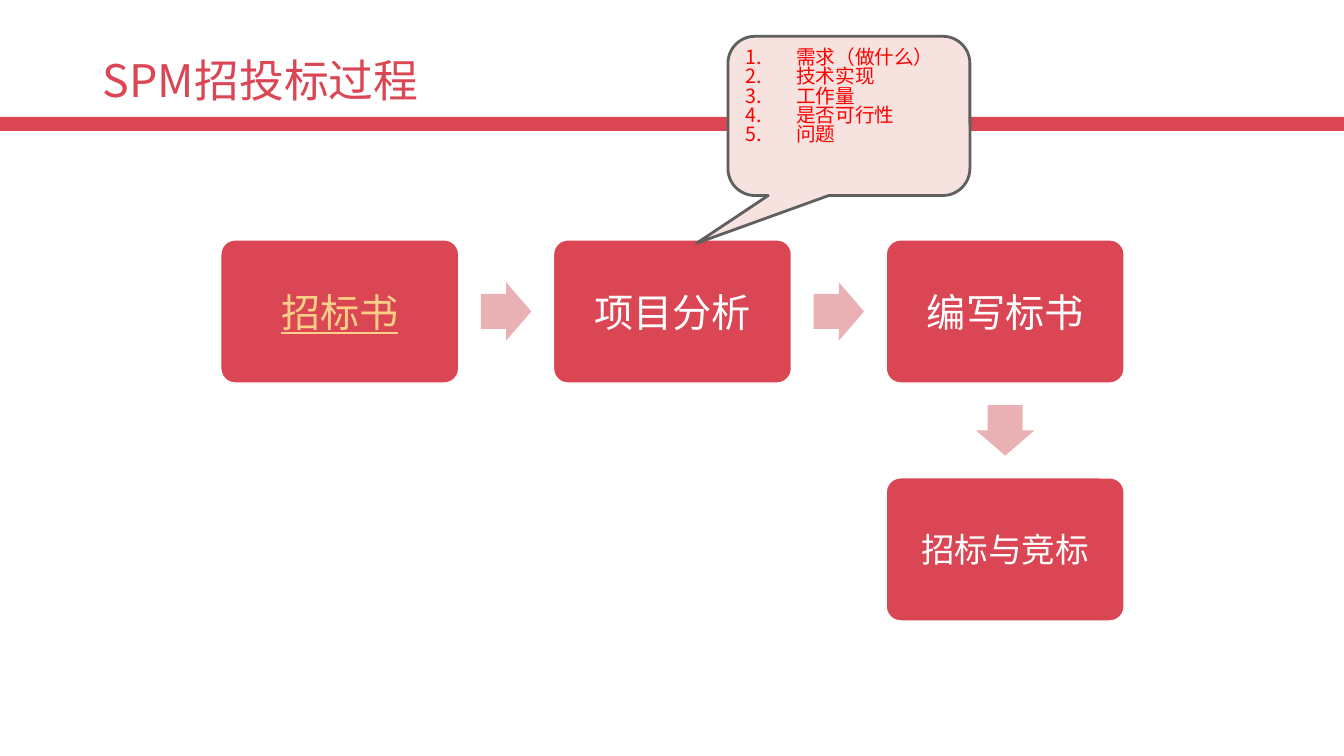
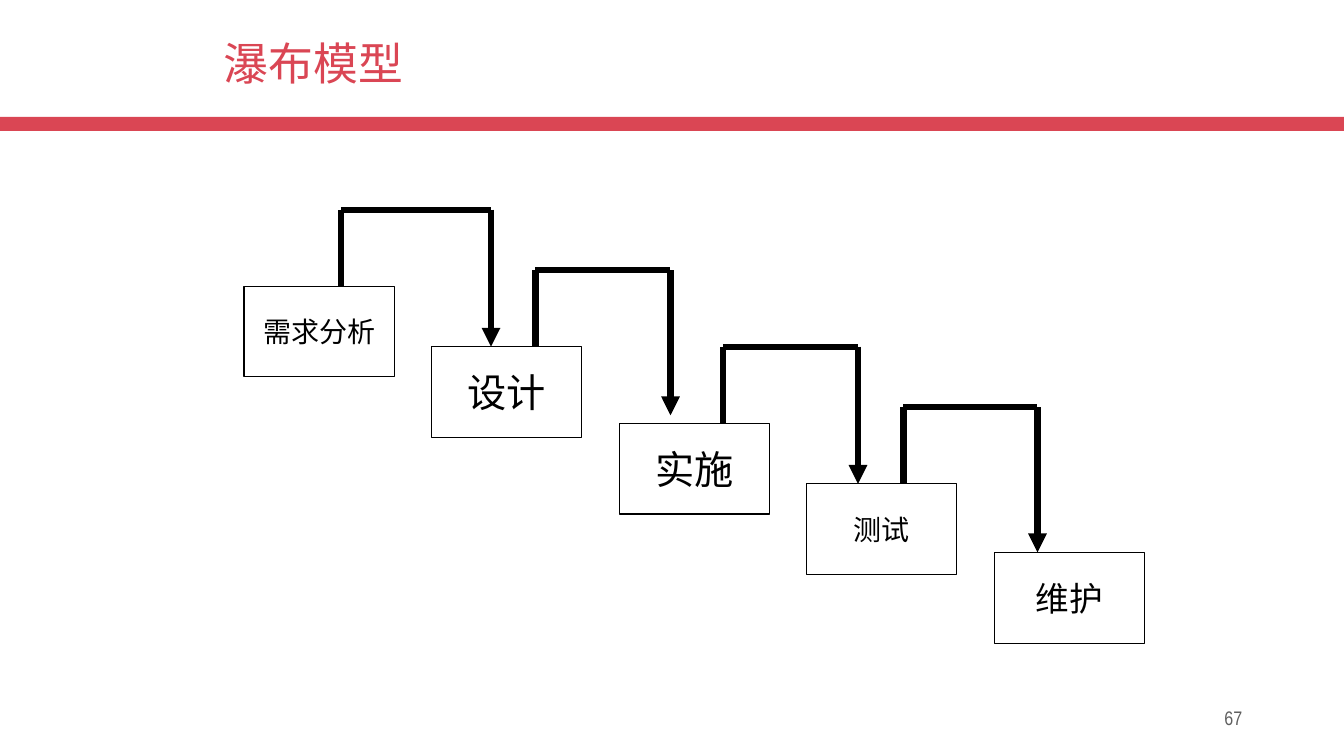
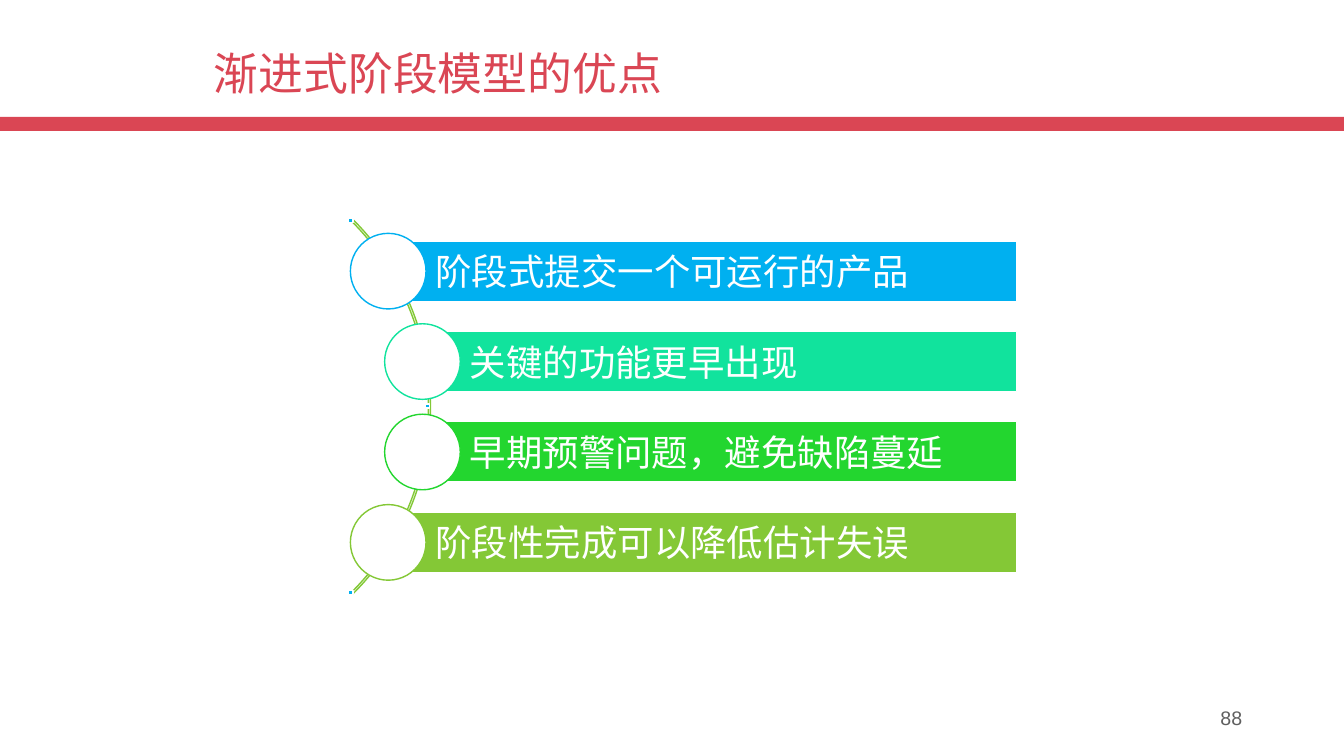
from dataclasses import dataclass
from itertools import pairwise

from lxml import etree
from pptx import Presentation
from pptx import util as u
from pptx.dml.color import RGBColor
from pptx.enum import shapes, text
from pptx.oxml import ns

SHAPE = shapes.MSO_SHAPE
LEFT, CENTER, RIGHT = text.PP_ALIGN.LEFT, text.PP_ALIGN.CENTER, text.PP_ALIGN.RIGHT
TOP, MIDDLE = text.MSO_ANCHOR.TOP, text.MSO_ANCHOR.MIDDLE


@dataclass(frozen=True)
class Theme:
    """Colours, fonts and type sizes shared by the slides."""
    width: float = 13.33
    height: float = 7.5
    red: str = "DA4654"
    pink: str = "EAB1B4"
    blush: str = "F6E2DE"
    gray: str = "5F5F5F"
    white: str = "FFFFFF"
    black: str = "000000"
    link: str = "FCCF86"
    alert: str = "FF0000"
    arc: str = "82C836"
    bars: tuple = ("00B0F0", "11E39D", "23D62F", "84C836")
    cjk: str = "Noto Sans CJK SC"
    sans: str = "Arial"
    narrow: str = "Arial Narrow"
    title: int = 32
    large: int = 28
    bar: int = 26
    medium: int = 24
    normal: int = 20
    small: int = 14


T = Theme()


def inches(*lengths):
    """Convert lengths in inches to slide units."""
    return [u.Inches(n) for n in lengths]


def sub(parent, tag, **attributes):
    """Append a drawing element to a parent element."""
    return etree.SubElement(parent, ns.qn(tag), attributes)


def number(p, indent):
    """Number a paragraph with a hanging indent."""
    ppr = p._p.get_or_add_pPr()
    ppr.set("marL", str(u.Inches(indent)))
    ppr.set("indent", str(-u.Inches(indent)))
    sub(ppr, "a:buFont", typeface=T.cjk)
    sub(ppr, "a:buAutoNum", type="arabicPeriod")


def write(sp, content, size=T.normal, color=T.black, font=T.sans, align=CENTER,
          anchor=MIDDLE, insets=(0.1, 0.05, 0.1, 0.05), spacing=None,
          underline=None, indent=None):
    """Fill a shape with one formatted paragraph per line."""
    tf = sp.text_frame
    tf.word_wrap = True
    tf.auto_size = text.MSO_AUTO_SIZE.NONE
    tf.vertical_anchor = anchor
    tf.margin_left, tf.margin_top, tf.margin_right, tf.margin_bottom = inches(*insets)
    tf.text = content
    for p in tf.paragraphs:
        p.alignment = align
        if spacing:
            p.line_spacing = spacing
        if indent:
            number(p, indent)
        for r in p.runs:
            r.font.size = u.Pt(size)
            r.font.name = font
            r.font.underline = underline
            r.font.color.rgb = RGBColor.from_string(color)
            sub(r.font._element, "a:ea", typeface=T.cjk)


def shape(s, kind, at, fill=None, line=None, weight=1, adjust=()):
    """Add a preset shape without a shadow."""
    sp = s.shapes.add_shape(kind, *inches(*at))
    sp.shadow.inherit = False
    if fill:
        sp.fill.solid()
        sp.fill.fore_color.rgb = RGBColor.from_string(fill)
    else:
        sp.fill.background()
    if line:
        sp.line.color.rgb = RGBColor.from_string(line)
        sp.line.width = u.Pt(weight)
    else:
        sp.line.fill.background()
    for i, value in enumerate(adjust):
        sp.adjustments[i] = value
    return sp


def elbow(s, points, weight=4.5):
    """Join points with straight lines, the last with an arrowhead."""
    for start, end in pairwise(points):
        line = s.shapes.add_connector(shapes.MSO_CONNECTOR.STRAIGHT, *inches(*start, *end))
        line.line.color.rgb = RGBColor.from_string(T.black)
        line.line.width = u.Pt(weight)
        if end == points[-1]:
            sub(line.line._get_or_add_ln(), "a:tailEnd", type="triangle")
        sub(line._element.spPr, "a:effectLst")


def add_band(s):
    """Place the red band on the layout of a slide."""
    band = shape(s, SHAPE.RECTANGLE, (0, 1.16, T.width, 0.14), T.red)
    s.slide_layout.shapes.element.insert(2, band.element)


def title_slide(prs, title, at, anchor=MIDDLE):
    """Add a title-only slide with its title placed."""
    s = prs.slides.add_slide(prs.slide_layouts[5])
    sp = s.shapes.title
    sp.left, sp.top, sp.width, sp.height = inches(*at)
    write(sp, title, size=T.title, color=T.red, font=T.cjk, align=LEFT,
          anchor=anchor, spacing=0.9)
    return s


def page_number(s, label, font):
    """Add the page number at the lower right."""
    sp = s.shapes.add_textbox(*inches(9.42, 6.95, 3, 0.4))
    write(sp, label, size=T.small, color=T.gray, font=font, align=RIGHT, anchor=TOP)


def bidding_slide(prs):
    """Draw the bidding process as a grid of boxes and arrows."""
    s = title_slide(prs, "SPM招投标过程", (0.92, 0.44, 11.5, 0.76))
    add_band(s)
    left, top, width, height = 2.19, 2.38, 2.36, 1.42
    col, row, length, breadth = 3.3, 2.36, 0.5, 0.58
    steps = [
        ("招标书", 0, 0, T.large, T.link),
        ("项目分析", 1, 0, T.large, T.white),
        ("编写标书", 2, 0, T.large, T.white),
        ("招标与竞标", 2, 1, T.medium, T.white),
    ]
    for label, c, r, size, color in steps:
        sp = shape(s, SHAPE.ROUNDED_RECTANGLE, (left + c * col, top + r * row, width, height),
                   T.red, T.white, adjust=(0.1,))
        write(sp, label, size=size, color=color, insets=(0.12,) * 4,
              underline=color == T.link)
    for c in range(2):
        x = left + c * col + (width + col - length) / 2
        shape(s, SHAPE.RIGHT_ARROW, (x, top + (height - breadth) / 2, length, breadth),
              T.pink, adjust=(0.6, 0.5))
    shape(s, SHAPE.DOWN_ARROW,
          (left + 2 * col + (width - breadth) / 2, top + (height + row - length) / 2,
           breadth, length), T.pink, adjust=(0.6, 0.5))
    callout = shape(s, SHAPE.ROUNDED_RECTANGULAR_CALLOUT, (7.22, 0.36, 2.4, 1.58),
                    T.blush, T.gray, 2, (-0.63, 0.8, 0.17))
    write(callout, "需求（做什么）\n技术实现\n工作量\n是否可行性\n问题", size=T.small,
          color=T.alert, font=T.narrow, align=LEFT, anchor=TOP, spacing=0.82, indent=0.5)


def waterfall_slide(prs):
    """Draw the waterfall model as descending boxes joined by arrows."""
    s = title_slide(prs, "瀑布模型", (2.12, 0.36, 8.5, 1.25), TOP)
    page_number(s, "67", T.narrow)
    left, col, width, height, rise = 2.42, 1.86, 1.49, 0.9, 0.76
    steps = [
        ("需求分析", 2.84, T.normal),
        ("设计", 3.44, T.large),
        ("实施", 4.2, T.large),
        ("测试", 4.8, T.normal),
        ("维护", 5.48, T.medium),
    ]
    for i, (label, top, size) in enumerate(steps):
        sp = shape(s, SHAPE.RECTANGLE, (left + i * col, top, width, height),
                   line=T.black, weight=0.75)
        write(sp, label, size=size)
    links = [(3.38, 4.87, 3.44), (5.31, 6.65, 4.12), (7.17, 8.51, 4.8), (8.96, 10.29, 5.48)]
    for (label, top, size), (start, end, tip) in zip(steps, links):
        elbow(s, [(start, top), (start, top - rise), (end, top - rise), (end, tip)])


def benefits_slide(prs):
    """Draw the benefits as bars with circles along an arc."""
    s = title_slide(prs, "渐进式阶段模型的优点", (2.02, 0.21, 8.92, 1.08))
    page_number(s, "88", T.sans)
    shape(s, SHAPE.BLOCK_ARC, (-0.98, 1.41, 5.25, 5.25), line=T.arc,
          adjust=(189, 27, 0.004))
    top, row, right, height, circle = 2.39, 0.897, 10.08, 0.6, 0.75
    benefits = [
        ("阶段式提交一个可运行的产品", 3.85),
        ("关键的功能更早出现", 4.19),
        ("早期预警问题，避免缺陷蔓延", 4.19),
        ("阶段性完成可以降低估计失误", 3.85),
    ]
    for i, ((label, left), color) in enumerate(zip(benefits, T.bars)):
        y = top + i * row
        sp = shape(s, SHAPE.RECTANGLE, (left, y, right - left, height), color, T.white)
        write(sp, label, size=T.bar, color=T.white, font=T.cjk, align=LEFT,
              insets=(0.47, 0.07, 0.07, 0.07))
        shape(s, SHAPE.OVAL,
              (left - circle / 2, y + (height - circle) / 2, circle, circle), T.white, color)
    for x, y in [(3.46, 2.17), (4.22, 4.01), (3.46, 5.86)]:
        shape(s, SHAPE.RECTANGLE, (x, y, 0.04, 0.04), T.bars[0], T.white)


def main():
    """Build and save the presentation."""
    prs = Presentation()
    prs.slide_width, prs.slide_height = inches(T.width, T.height)
    bidding_slide(prs)
    waterfall_slide(prs)
    benefits_slide(prs)
    prs.save("out.pptx")


if __name__ == "__main__":
    main()
